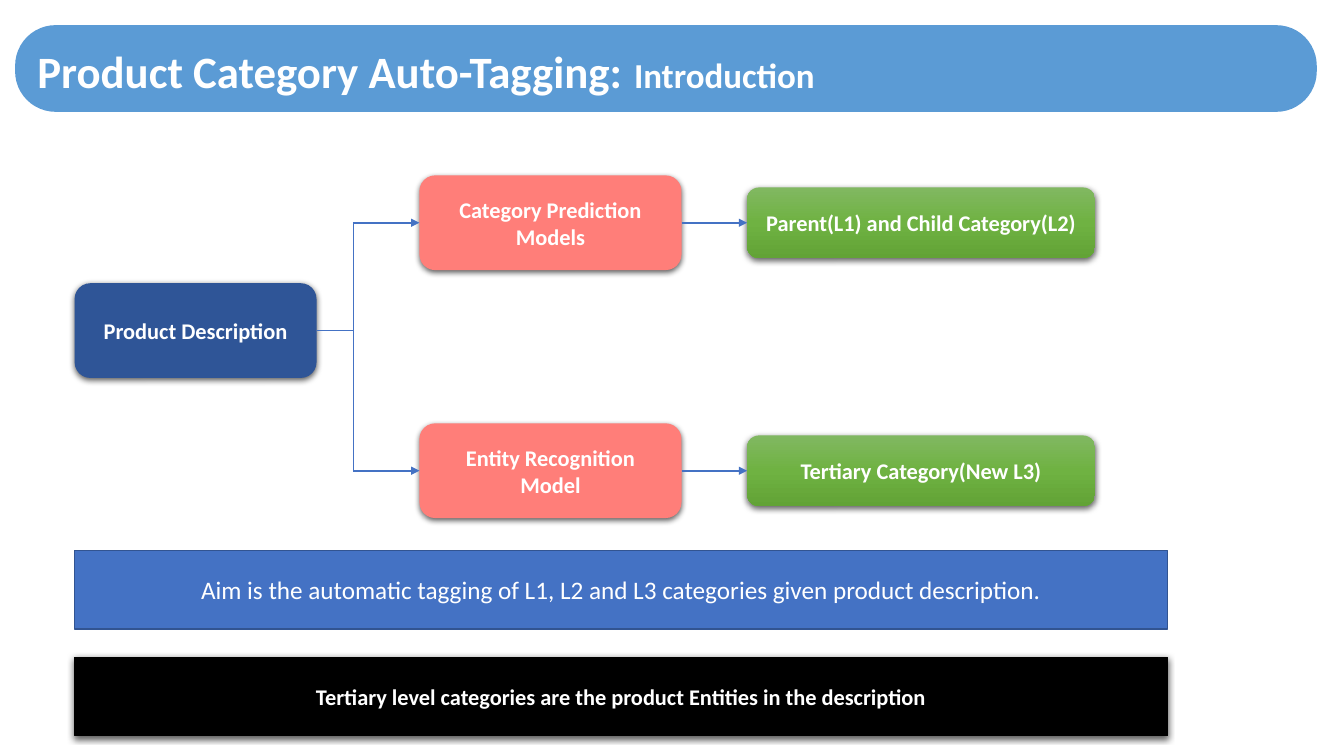
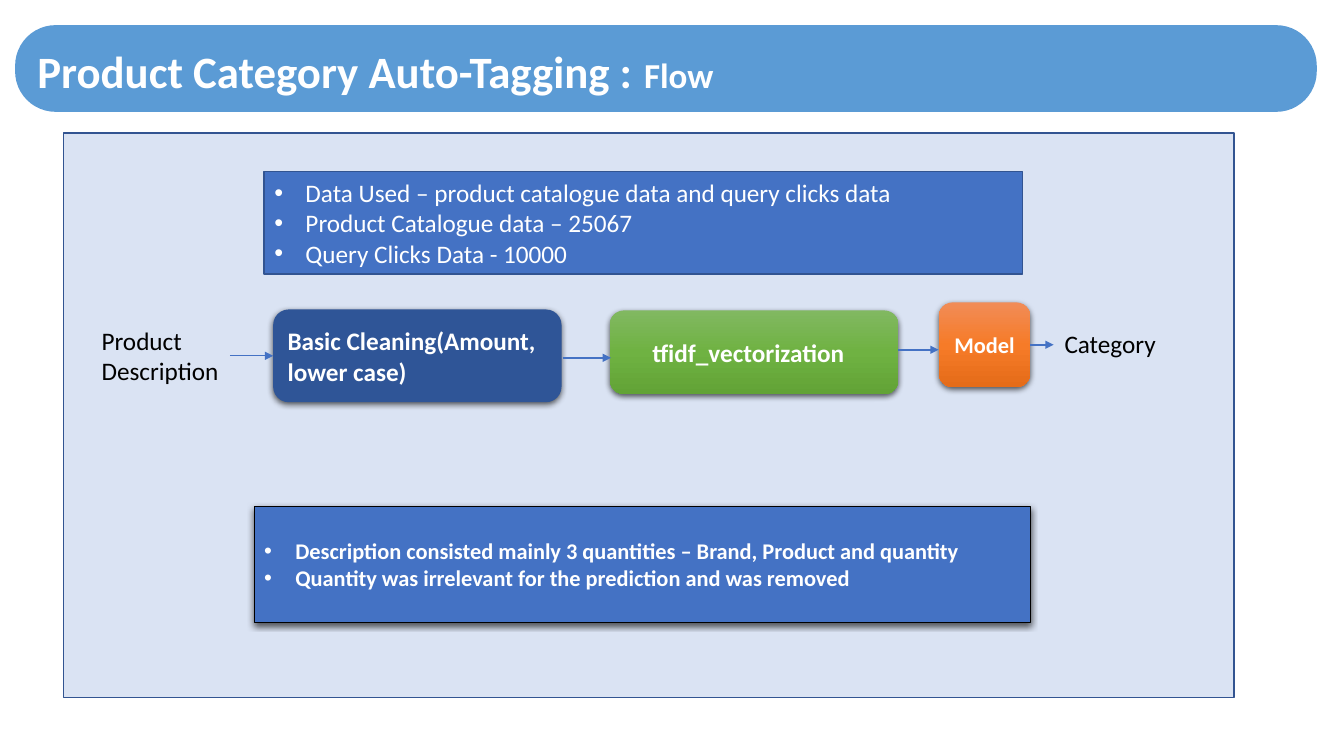
import copy
import pptx
import pptx.util
import pptx.dml.color
import pptx.enum.shapes
import pptx.enum.text
import pptx.oxml
import pptx.oxml.ns

Inches = pptx.util.Inches
Pt = pptx.util.Pt
RGBColor = pptx.dml.color.RGBColor
ROUNDED = pptx.enum.shapes.MSO_SHAPE.ROUNDED_RECTANGLE
RECTANGLE = pptx.enum.shapes.MSO_SHAPE.RECTANGLE
STRAIGHT = pptx.enum.shapes.MSO_CONNECTOR.STRAIGHT
LEFT = pptx.enum.text.PP_ALIGN.LEFT
CENTER = pptx.enum.text.PP_ALIGN.CENTER
MIDDLE = pptx.enum.text.MSO_ANCHOR.MIDDLE
TOP = pptx.enum.text.MSO_ANCHOR.TOP
qn = pptx.oxml.ns.qn

WHITE = RGBColor(0xFF, 0xFF, 0xFF)
BLACK = RGBColor(0x00, 0x00, 0x00)
SKY = RGBColor(0x5B, 0x9B, 0xD5)
BLUE = RGBColor(0x44, 0x72, 0xC4)
NAVY = RGBColor(0x2F, 0x55, 0x97)
EDGE = RGBColor(0x32, 0x54, 0x91)
PALE = RGBColor(0xDA, 0xE3, 0xF3)
CORAL = RGBColor(0xFF, 0x7E, 0x79)
GREENS = [RGBColor(0x81, 0xB8, 0x61), RGBColor(0x6F, 0xB2, 0x42), RGBColor(0x62, 0xA3, 0x36)]
ORANGES = [RGBColor(0xF1, 0x8C, 0x57), RGBColor(0xF6, 0x7B, 0x28), RGBColor(0xE5, 0x6C, 0x19)]

FONT = "Calibri"
SHADOW = (
    '<a:outerShdw xmlns:a="http://schemas.openxmlformats.org/drawingml/2006/main" '
    'blurRad="57150" dist="19050" dir="5400000" algn="ctr" rotWithShape="0">'
    '<a:srgbClr val="000000"><a:alpha val="63000"/></a:srgbClr></a:outerShdw>'
)


def dress(shape, frame, lines=(), fill=None, edge=None, edge_width=1, shadow=False, size=16,
          bold=True, color=WHITE, align=CENTER, anchor=MIDDLE, bullets=False):
    for side, length in zip(("left", "top", "width", "height"), frame):
        setattr(shape, side, Inches(length))
    properties = shape._element.spPr
    if fill is None:
        shape.fill.background()
    elif isinstance(fill, list):
        shape.fill.gradient()
        shape.fill.gradient_angle = 270
        stops = properties.find(".//" + qn("a:gsLst"))
        stops.insert(1, copy.deepcopy(stops[0]))
        for stop, position, shade in zip(shape.fill.gradient_stops, (0, 0.5, 1), fill):
            stop.position = position
            stop.color.rgb = shade
    else:
        shape.fill.solid()
        shape.fill.fore_color.rgb = fill
    if edge is None:
        shape.line.fill.background()
    else:
        shape.line.color.rgb = edge
        shape.line.width = Pt(edge_width)
    shape.shadow.inherit = False
    if shadow:
        properties.find(qn("a:effectLst")).append(pptx.oxml.parse_xml(SHADOW))
    frame_format = {"word_wrap": True, "vertical_anchor": anchor,
                    "auto_size": pptx.enum.text.MSO_AUTO_SIZE.NONE}
    for name, value in frame_format.items():
        setattr(shape.text_frame, name, value)
    shape.text_frame.text = "\n".join(lines)
    for paragraph in shape.text_frame.paragraphs:
        paragraph.alignment = align
        paragraph.space_before = Pt(0)
        if bullets:
            paragraph._p.get_or_add_pPr().set("marL", str(Inches(0.31)))
            paragraph._p.get_or_add_pPr().set("indent", str(-Inches(0.31)))
        for run in paragraph.runs:
            for name, value in {"name": FONT, "size": Pt(size), "bold": bold}.items():
                setattr(run.font, name, value)
            run.font.color.rgb = color
    return shape


def connect(slide, start, end, width=1.5, head=True, source=None, target=None):
    link = slide.shapes.add_connector(STRAIGHT, *map(Inches, start + end))
    if source is not None:
        link.begin_connect(source, 3)
    if target is not None:
        link.end_connect(target, 1)
    link.line.color.rgb = BLUE
    link.line.width = Pt(width)
    properties = link._element.spPr
    if head:
        tail = properties.find(qn("a:ln")).makeelement(qn("a:tailEnd"), {"type": "triangle"})
        properties.find(qn("a:ln")).append(tail)
    properties.append(properties.makeelement(qn("a:effectLst"), {}))


deck = pptx.Presentation()
deck.slide_width = Inches(13.33)
deck.slide_height = Inches(7.5)
introduction = deck.slides.add_slide(deck.slide_layouts[5])
flow = deck.slides.add_slide(deck.slide_layouts[3])

BAND = (0.15, 0.25, 12.91, 0.86)
band = dress(introduction.shapes.add_shape(ROUNDED, 0, 0, 0, 0), BAND, fill=SKY)
band.adjustments[0] = 0.467
band._element.nvSpPr.cNvPr.set("id", "20")
deck.slide_master.placeholders[0]._element.addprevious(band._element)

headings = [
    (introduction, "Product Category Auto-Tagging:", "Introduction"),
    (flow, "Product Category Auto-Tagging :", "Flow"),
]
for slide, heading, topic in headings:
    title = dress(slide.shapes.title, BAND, [heading], size=32, align=LEFT)
    title.text_frame.margin_left = Inches(0.22)
    for words, size in ((" ", 36), (topic, 25)):
        run = title.text_frame.paragraphs[0].add_run()
        run.text = words
        for name, value in {"name": FONT, "size": Pt(size), "bold": True}.items():
            setattr(run.font, name, value)
        run.font.color.rgb = WHITE

description = dress(introduction.shapes.add_shape(ROUNDED, 0, 0, 0, 0), (0.74, 2.81, 2.4, 0.94),
                    ["Product Description"], fill=NAVY, shadow=True)
branches = [
    (2.21, "Category Prediction Models", "Parent(L1) and Child Category(L2)"),
    (4.67, "Entity Recognition Model", "Tertiary Category(New L3)"),
]
for middle, model_name, category_name in branches:
    predictor = dress(introduction.shapes.add_shape(ROUNDED, 0, 0, 0, 0),
                      (4.16, middle - 0.47, 2.6, 0.94), [model_name], fill=CORAL, shadow=True)
    category = dress(introduction.shapes.add_shape(ROUNDED, 0, 0, 0, 0),
                     (7.41, middle - 0.35, 3.45, 0.7), [category_name], fill=GREENS, shadow=True)
    connect(introduction, (3.5, middle), (4.16, middle), target=predictor)
    connect(introduction, (6.76, middle), (7.41, middle), source=predictor, target=category)
connect(introduction, (3.5, 2.21), (3.5, 4.67), width=0.5, head=False)
connect(introduction, (3.14, 3.28), (3.5, 3.28), width=0.5, head=False, source=description)

dress(introduction.shapes.add_shape(RECTANGLE, 0, 0, 0, 0), (0.74, 5.46, 10.84, 0.78),
      ["Aim is the automatic tagging of L1, L2 and L3 categories given product description."],
      fill=BLUE, edge=EDGE, size=18, bold=False)
dress(introduction.shapes.add_shape(RECTANGLE, 0, 0, 0, 0), (0.74, 6.52, 10.84, 0.78),
      ["Tertiary level categories are the product Entities in the description"],
      fill=BLACK, edge=BLACK, edge_width=0.75, shadow=True)

panel = dress(flow.shapes.add_shape(RECTANGLE, 0, 0, 0, 0), (0.63, 1.32, 11.61, 5.6),
              fill=PALE, edge=EDGE)
flow.shapes.title._element.addprevious(panel._element)

dress(flow.placeholders[1], (2.62, 1.7, 7.52, 1.02),
      ["Data Used – product catalogue data and query clicks data",
       "Product Catalogue data – 25067",
       "Query Clicks Data - 10000"],
      fill=BLUE, edge=EDGE, size=18, bold=False, align=LEFT, bullets=True)
dress(flow.placeholders[2], (2.52, 5.02, 7.7, 1.16),
      ["Description consisted mainly 3 quantities – Brand, Product and quantity",
       "Quantity was irrelevant for the prediction and was removed"],
      fill=BLUE, edge=BLACK, edge_width=0.75, shadow=True, align=LEFT, bullets=True)

cleaning = dress(flow.shapes.add_shape(ROUNDED, 0, 0, 0, 0), (2.71, 3.07, 2.86, 0.92),
                 ["Basic Cleaning(Amount, lower case)"], fill=NAVY, shadow=True, size=18, align=LEFT)
vectorization = dress(flow.shapes.add_shape(ROUNDED, 0, 0, 0, 0), (6.05, 3.08, 2.86, 0.83),
                      ["tfidf_vectorization"], fill=GREENS, shadow=True, size=18, align=LEFT)
vectorization.text_frame.margin_left = Inches(0.38)
model = dress(flow.shapes.add_shape(ROUNDED, 0, 0, 0, 0), (9.31, 3, 0.91, 0.84),
              ["Model"], fill=ORANGES, shadow=True)

endpoints = [
    ((0.91, 3.18, 1.37, 0.71), ["Product", "Description"]),
    ((10.46, 3.21, 1.13, 0.4), ["Category"]),
]
for frame, lines in endpoints:
    dress(flow.shapes.add_textbox(0, 0, 0, 0), frame, lines, size=18, bold=False,
          color=BLACK, align=LEFT, anchor=TOP)

connect(flow, (2.28, 3.53), (2.71, 3.53), width=0.5, target=cleaning)
connect(flow, (5.58, 3.55), (6.06, 3.55))
connect(flow, (8.91, 3.47), (9.31, 3.47))
connect(flow, (10.22, 3.42), (10.45, 3.42), source=model)

deck.save("out.pptx")
